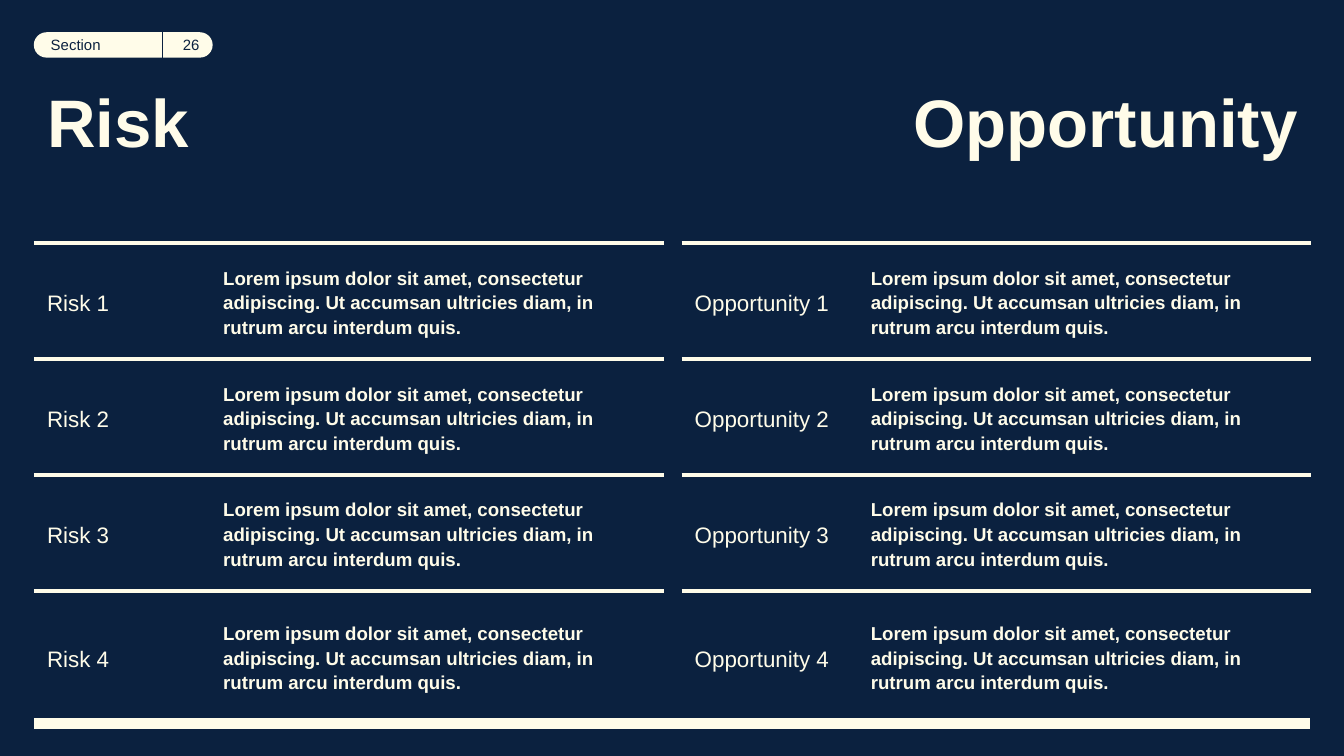
from lxml import etree
from pptx import Presentation
from pptx.dml.color import RGBColor
from pptx.enum.shapes import MSO_CONNECTOR, MSO_SHAPE
from pptx.enum.text import MSO_ANCHOR, PP_ALIGN
from pptx.oxml.ns import qn
from pptx.util import Cm, Pt

LEFT, RIGHT = PP_ALIGN.LEFT, PP_ALIGN.RIGHT
TOP, MIDDLE = MSO_ANCHOR.TOP, MSO_ANCHOR.MIDDLE
STRAIGHT = MSO_CONNECTOR.STRAIGHT
ROUNDED = MSO_SHAPE.ROUNDED_RECTANGLE

NAVY, CREAM = "0B213F", "FFFCE9"
FONT = "Arial"
INSET = 0.25
DESCRIPTION = ("Lorem ipsum dolor sit amet, consectetur adipiscing. "
               "Ut accumsan ultricies diam, in rutrum arcu interdum quis.")

MARGIN, COLUMN_STEP, COLUMN_WIDTH = 0.64, 12.24, 11.9
TABLE_TOP, ROW_HEIGHT, ROWS = 4.6, 2.19, 4
LAST_ROW_DROP = 0.15
LABEL_WIDTH, DESCRIPTION_WIDTH = 3.33, 8.43
TAG_TOP, TAG_HEIGHT, TAG_WIDTH, TAG_SPLIT = 0.61, 0.48, 3.38, 3.07


def rgb(color):
    return RGBColor.from_string(color)


def set_text(shape, text, size, color=CREAM, bold=False, align=LEFT,
             anchor=MIDDLE, spacing=1.0):
    frame = shape.text_frame
    frame.word_wrap = True
    frame.vertical_anchor = anchor
    frame.margin_left = frame.margin_right = Cm(INSET)
    frame.margin_top = frame.margin_bottom = Cm(INSET)
    paragraph = frame.paragraphs[0]
    paragraph.text = text
    paragraph.alignment = align
    paragraph.line_spacing = spacing
    font = paragraph.font
    font.name, font.size, font.bold = FONT, Pt(size), bold
    font.color.rgb = rgb(color)


def add_text(slide, left, top, width, height, text, size, **style):
    box = slide.shapes.add_textbox(Cm(left), Cm(top), Cm(width), Cm(height))
    set_text(box, text, size, **style)


def add_rule(slide, x1, y1, x2, y2, weight, color=CREAM):
    rule = slide.shapes.add_connector(STRAIGHT, Cm(x1), Cm(y1), Cm(x2), Cm(y2))
    rule.line.color.rgb = rgb(color)
    rule.line.width = Pt(weight)
    etree.SubElement(rule._element.spPr, qn("a:effectLst"))


def add_column(slide, left, heading, align):
    add_text(slide, left, 1.27, COLUMN_WIDTH, 3.07, heading, 36,
             bold=True, align=align, anchor=TOP)
    for row in range(ROWS):
        top = TABLE_TOP + row * ROW_HEIGHT
        add_rule(slide, left, top, left + COLUMN_WIDTH, top, 2.25)
        if row == ROWS - 1:
            top += LAST_ROW_DROP
        add_text(slide, left, top, LABEL_WIDTH, ROW_HEIGHT,
                 f"{heading} {row + 1}", 12, spacing=1.1)
        add_text(slide, left + LABEL_WIDTH, top, DESCRIPTION_WIDTH, ROW_HEIGHT,
                 DESCRIPTION, 10, bold=True, spacing=1.1)


def add_section_tag(slide, section, number):
    tag = slide.shapes.add_shape(ROUNDED, Cm(MARGIN), Cm(TAG_TOP),
                                 Cm(TAG_WIDTH), Cm(TAG_HEIGHT))
    tag.adjustments[0] = 0.5
    tag.shadow.inherit = False
    tag.fill.solid()
    tag.fill.fore_color.rgb = rgb(CREAM)
    tag.line.fill.background()
    set_text(tag, section, 8, color=NAVY)
    add_rule(slide, TAG_SPLIT, TAG_TOP, TAG_SPLIT, TAG_TOP + TAG_HEIGHT,
             0.75, color=NAVY)
    add_text(slide, TAG_SPLIT, TAG_TOP, MARGIN + TAG_WIDTH - TAG_SPLIT,
             TAG_HEIGHT, number, 8, color=NAVY, align=RIGHT)


def main():
    presentation = Presentation()
    presentation.slide_width, presentation.slide_height = Cm(25.4), Cm(14.29)
    slide = presentation.slides.add_slide(presentation.slide_layouts[6])
    slide.background.fill.solid()
    slide.background.fill.fore_color.rgb = rgb(NAVY)

    add_rule(slide, MARGIN, 13.67, 24.76, 13.67, 6)
    add_column(slide, MARGIN, "Risk", LEFT)
    add_column(slide, MARGIN + COLUMN_STEP, "Opportunity", RIGHT)
    add_section_tag(slide, "Section", "26")
    presentation.save("out.pptx")


if __name__ == "__main__":
    main()
